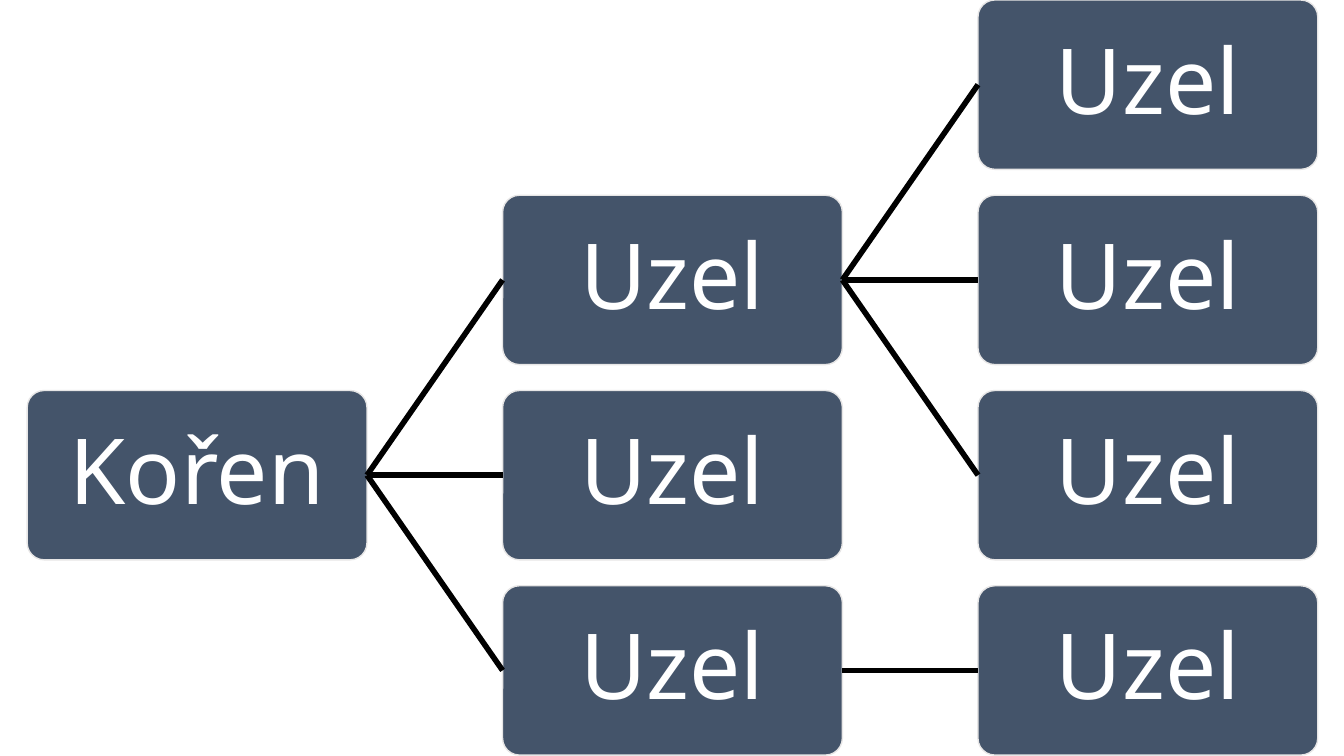
from lxml import etree
from pptx import Presentation
from pptx.dml.color import RGBColor
from pptx.enum.shapes import MSO_CONNECTOR, MSO_SHAPE
from pptx.enum.text import MSO_ANCHOR, PP_ALIGN
from pptx.oxml.ns import qn
from pptx.util import Inches, Pt

ROUND, LINE = MSO_SHAPE.ROUNDED_RECTANGLE, MSO_CONNECTOR.STRAIGHT
MIDDLE, CENTER = MSO_ANCHOR.MIDDLE, PP_ALIGN.CENTER
SLATE = RGBColor(0x44, 0x54, 0x6A)
PALE = RGBColor(0xE7, 0xE6, 0xE6)
WHITE = RGBColor(0xFF, 0xFF, 0xFF)
BLACK = RGBColor(0, 0, 0)

NODE_W, NODE_H = 3.37, 1.68
STEP_X, STEP_Y = 4.715, 1.937
LEFT, RIGHT = 1, 3  # connection sites of a node

PAD = Inches(0.1)
FRAME = dict(margin_left=PAD, margin_right=PAD, margin_top=PAD,
             margin_bottom=PAD, vertical_anchor=MIDDLE, word_wrap=True)
PARA = dict(alignment=CENTER, line_spacing=0.9)
FONT = dict(name="Noto Sans", size=Pt(65))

# Each node: label, column, row, children
TREE = ("Kořen", 0, 2, [
    ("Uzel", 1, 1, [("Uzel", 2, row, []) for row in range(3)]),
    ("Uzel", 1, 2, []),
    ("Uzel", 1, 3, [("Uzel", 2, 3, [])]),
])


def style(item, values):
    """Set each attribute of item from a dict."""
    for key, value in values.items():
        setattr(item, key, value)


def add_node(slide, label, x, y):
    """Draw one labelled node with its top left corner at x, y."""
    node = slide.shapes.add_shape(ROUND, Inches(x), Inches(y),
                                  Inches(NODE_W), Inches(NODE_H))
    node.shadow.inherit = False
    node.adjustments[0] = 0.1
    node.fill.solid()
    node.fill.fore_color.rgb = SLATE
    node.line.color.rgb = PALE
    node.line.width = Pt(1)
    frame = node.text_frame
    style(frame, FRAME)
    para = frame.paragraphs[0]
    style(para, PARA)
    run = para.add_run()
    run.text = label
    style(run.font, FONT)
    run.font.color.rgb = WHITE
    return node


def add_link(slide, start, end):
    """Join the right side of start to the left side of end."""
    link = slide.shapes.add_connector(LINE, 0, 0, 0, 0)
    link.begin_connect(start, RIGHT)
    link.end_connect(end, LEFT)
    link.line.color.rgb = BLACK
    link.line.width = Pt(4)
    etree.SubElement(link._element.spPr, qn("a:effectLst"))


def add_tree(slide, branch, left, top):
    """Draw a branch and its children on the grid that starts at left, top."""
    label, col, row, kids = branch
    node = add_node(slide, label, left + col * STEP_X, top + row * STEP_Y)
    for kid in kids:
        add_link(slide, node, add_tree(slide, kid, left, top))
    return node


def main():
    """Build and save the slide."""
    deck = Presentation()
    deck.slide_width, deck.slide_height = Inches(13.33), Inches(7.5)
    slide = deck.slides.add_slide(deck.slide_layouts[6])
    add_tree(slide, TREE, 0.27, 0)
    deck.save("out.pptx")


main()
